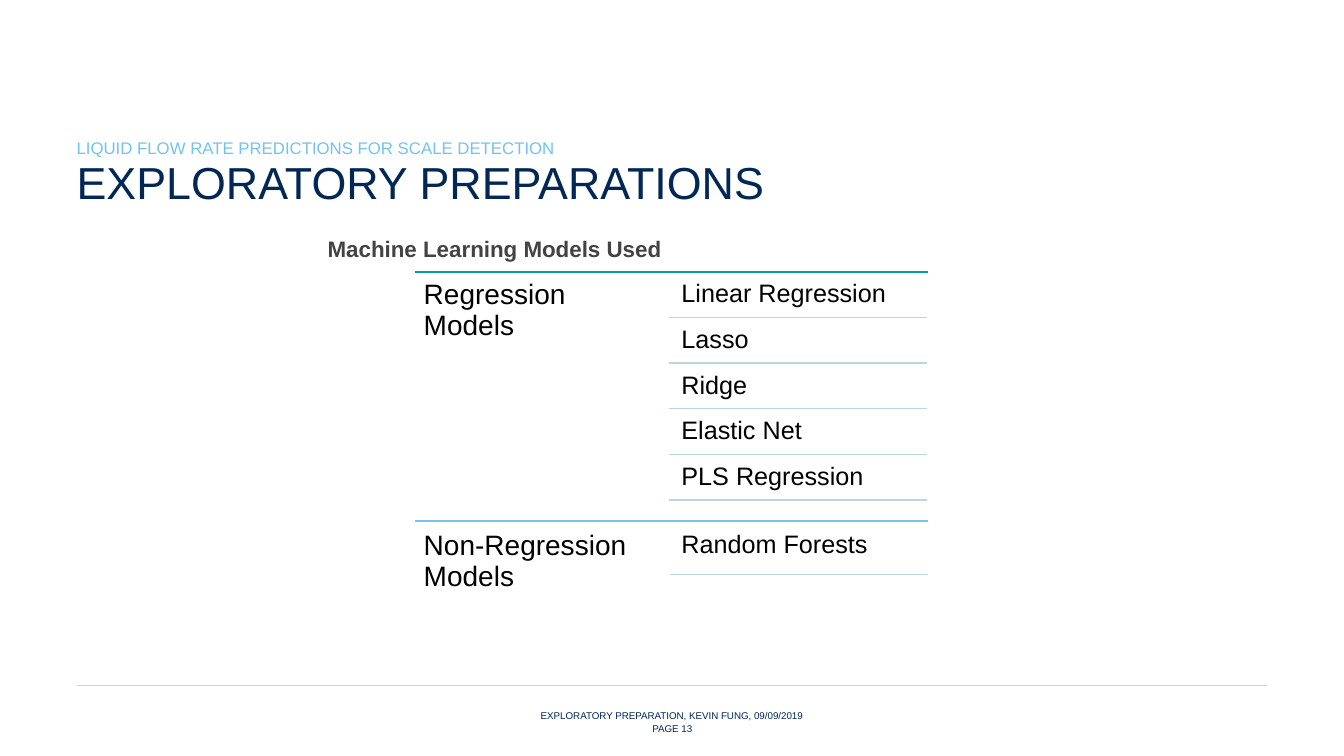
from dataclasses import dataclass

import pptx
import pptx.dml.color
import pptx.enum.shapes
import pptx.enum.text
import pptx.oxml.ns
import pptx.util
from lxml import etree

Pt = pptx.util.Pt
Anchor = pptx.enum.text.MSO_ANCHOR
Align = pptx.enum.text.PP_ALIGN

COLOURS = {
    "navy": "012855",
    "sky": "72C3EE",
    "grey": "434345",
    "black": "000000",
    "teal": "019CB2",
    "pale": "BDD5DD",
    "footer_rule": "D0D0D0",
}


@dataclass
class Label:
    text: str
    left: float
    top: float
    width: float
    height: float
    size: float
    colour: str
    bold: bool = False
    spacing: float = 1.0
    space_after: float = 0
    inset: float = 0
    anchor: Anchor = Anchor.TOP
    align: Align = Align.LEFT


@dataclass
class Rule:
    left: float
    right: float
    top: float
    colour: str
    weight: float = 1


@dataclass
class ModelGroup:
    heading: str
    models: list[str]
    top: float
    heading_top: float
    heading_height: float
    first_model_top: float
    model_height: float
    first_rule_top: float
    rule_left: float
    rule_right: float
    colour: str


def rgb(name: str) -> pptx.dml.color.RGBColor:
    return pptx.dml.color.RGBColor.from_string(COLOURS[name])


def draw_label(page, label: Label) -> None:
    box = page.shapes.add_textbox(
        Pt(label.left), Pt(label.top), Pt(label.width), Pt(label.height))
    frame = box.text_frame
    frame.word_wrap = True
    frame.vertical_anchor = label.anchor
    frame.margin_left = frame.margin_right = Pt(label.inset)
    frame.margin_top = frame.margin_bottom = Pt(label.inset)
    para = frame.paragraphs[0]
    para.text = label.text
    para.alignment = label.align
    para.line_spacing = label.spacing
    para.space_after = Pt(label.space_after)
    para.font.name = "Arial"
    para.font.size = Pt(label.size)
    para.font.bold = label.bold
    para.font.color.rgb = rgb(label.colour)


def draw_rule(page, rule: Rule) -> None:
    line = page.shapes.add_connector(
        pptx.enum.shapes.MSO_CONNECTOR.STRAIGHT,
        Pt(rule.left), Pt(rule.top), Pt(rule.right), Pt(rule.top))
    line.line.color.rgb = rgb(rule.colour)
    line.line.width = Pt(rule.weight)
    etree.SubElement(line._element.spPr, pptx.oxml.ns.qn("a:effectLst"))


MARGIN, CONTENT_WIDTH = 54.72, 850.32
GROUP_LEFT, GROUP_RIGHT = 296.64, 663.12
HEADING_WIDTH = 181.44
MODEL_LEFT, MODEL_WIDTH = 481.68, 180.72
ROW_PITCH = 32.6

LABELS = [
    Label("EXPLORATORY PREPARATIONS", MARGIN, 116.64, CONTENT_WIDTH, 33.12,
          32, "navy", spacing=0.85),
    Label("LIQUID FLOW RATE PREDICTIONS FOR SCALE DETECTION", MARGIN, 97.2,
          CONTENT_WIDTH, 15.84, 12, "sky", spacing=1.1, anchor=Anchor.BOTTOM),
    Label("Machine Learning Models Used", 234, 166.32, 323.28, 23.76,
          16, "grey", bold=True, spacing=1.1),
    Label("EXPLORATORY PREPARATION, KEVIN FUNG, 09/09/2019", MARGIN, 506.16,
          CONTENT_WIDTH, 9.36, 7, "navy", anchor=Anchor.MIDDLE, align=Align.CENTER),
    Label("PAGE 13", 439.2, 516.24, 82.08, 8.64, 7, "navy",
          anchor=Anchor.MIDDLE, align=Align.CENTER),
]

GROUPS = [
    ModelGroup("Regression Models",
               ["Linear Regression", "Lasso", "Ridge", "Elastic Net", "PLS Regression"],
               top=194.4, heading_top=194.4, heading_height=164.16,
               first_model_top=195.84, model_height=30.96, first_rule_top=226.8,
               rule_left=478.08, rule_right=662.4, colour="teal"),
    ModelGroup("Non-Regression Models", ["Random Forests"],
               top=372.24, heading_top=373.68, heading_height=73.44,
               first_model_top=375.12, model_height=72, first_rule_top=410.4,
               rule_left=478.8, rule_right=663.12, colour="sky"),
]


def draw_group(page, group: ModelGroup) -> None:
    draw_rule(page, Rule(GROUP_LEFT, GROUP_RIGHT, group.top, group.colour))
    draw_label(page, Label(
        group.heading, GROUP_LEFT, group.heading_top, HEADING_WIDTH,
        group.heading_height, 20, "black", spacing=0.9, space_after=7, inset=6))
    for row, model in enumerate(group.models):
        offset = row * ROW_PITCH
        draw_label(page, Label(
            model, MODEL_LEFT, group.first_model_top + offset, MODEL_WIDTH,
            group.model_height, 18, "black", spacing=0.9, space_after=6.3, inset=5.04))
        draw_rule(page, Rule(group.rule_left, group.rule_right,
                             group.first_rule_top + offset, "pale"))


def main() -> None:
    deck = pptx.Presentation()
    deck.slide_width, deck.slide_height = Pt(960), Pt(540)
    page = deck.slides.add_slide(deck.slide_layouts[6])

    # Footer rule, titles and footer text
    draw_rule(page, Rule(MARGIN, MARGIN + CONTENT_WIDTH, 489.6, "footer_rule", 0.5))
    for label in LABELS:
        draw_label(page, label)

    # Model groups
    for group in GROUPS:
        draw_group(page, group)

    deck.save("out.pptx")


if __name__ == "__main__":
    main()
